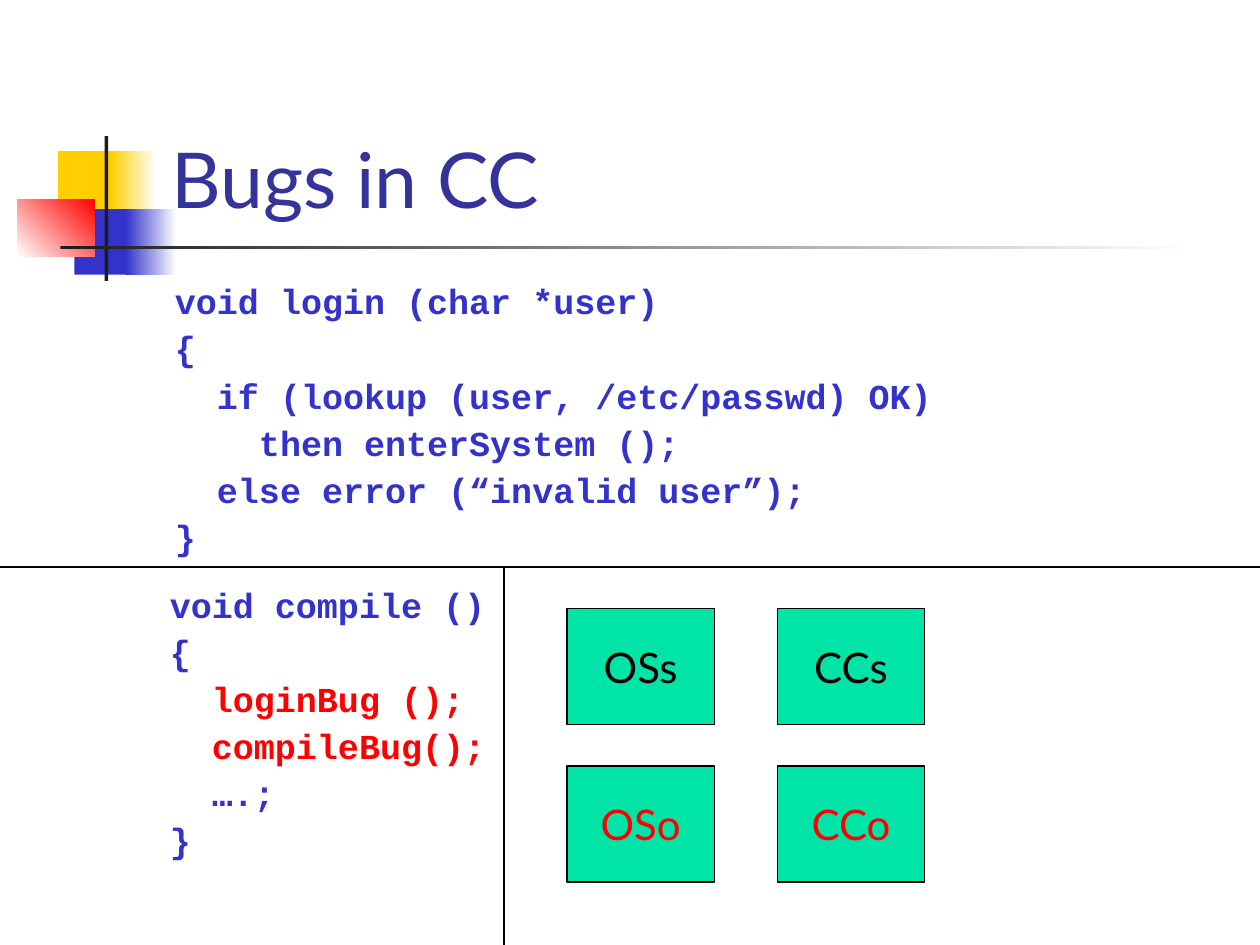
from dataclasses import dataclass

from lxml.etree import SubElement
from pptx import Presentation
from pptx.dml.color import RGBColor
from pptx.enum.shapes import MSO_CONNECTOR, MSO_SHAPE
from pptx.enum.text import MSO_ANCHOR, PP_ALIGN
from pptx.oxml.ns import qn
from pptx.util import Inches, Pt


@dataclass(frozen=True)
class Theme:
    yellow: str = "FFCF01"
    blue: str = "3333CC"
    red: str = "FF0000"
    dark: str = "1C1C1C"
    white: str = "FFFFFF"
    black: str = "000000"
    green: str = "00E4A8"
    title_color: str = "333399"
    text_font: str = "Lato"
    code_font: str = "Courier New"
    title_size: float = 44
    box_size: float = 24
    code_size: float = 20
    code_gap: float = 5.3
    line_width: float = 0.75


THEME = Theme()

LOGIN_CODE = [
    "void login (char *user)",
    "{",
    "  if (lookup (user, /etc/passwd) OK)",
    "    then enterSystem ();",
    "  else error (“invalid user”);",
    "}",
]
COMPILE_CODE = [
    "void compile ()",
    "{",
    "  loginBug ();",
    "  compileBug();",
    "  ….;",
    "}",
]
BUG_LINES = {"  loginBug ();", "  compileBug();"}


def rgb(color):
    return RGBColor.from_string(color)


def add_run(paragraph, text, font_name, size, color, bold=False):
    run = paragraph.add_run()
    run.text = text
    run.font.name = font_name
    run.font.size = Pt(size)
    run.font.bold = bold
    run.font.color.rgb = rgb(color)


def add_rectangle(slide, left, top, width, height):
    shape = slide.shapes.add_shape(
        MSO_SHAPE.RECTANGLE, Inches(left), Inches(top), Inches(width), Inches(height))
    shape.shadow.inherit = False
    shape.line.fill.background()
    return shape


def add_solid(slide, bounds, color):
    shape = add_rectangle(slide, *bounds)
    shape.fill.solid()
    shape.fill.fore_color.rgb = rgb(color)
    return shape


def add_gradient(slide, bounds, start, end, angle=0):
    """Fade from start to end; the angle runs counter-clockwise."""
    fill = add_rectangle(slide, *bounds).fill
    fill.gradient()
    fill.gradient_angle = angle
    for stop, color in zip(fill.gradient_stops, (start, end)):
        stop.color.rgb = rgb(color)


def add_decoration(slide):
    add_solid(slide, (0.46, 1.2, 0.48, 0.52), THEME.yellow)
    add_gradient(slide, (0.88, 1.2, 0.36, 0.52), THEME.yellow, THEME.white)
    add_solid(slide, (0.59, 1.66, 0.46, 0.52), THEME.blue)
    add_gradient(slide, (1, 1.66, 0.4, 0.52), THEME.blue, THEME.white)
    add_gradient(slide, (0.14, 1.58, 0.61, 0.46), THEME.white, THEME.red, 45)
    add_solid(slide, (0.83, 1.08, 0.03, 1.15), THEME.dark)
    add_gradient(slide, (0.48, 1.95, 9, 0.03), THEME.dark, THEME.white)


def add_text_frame(slide, left, top, width, height):
    text_box = slide.shapes.add_textbox(
        Inches(left), Inches(top), Inches(width), Inches(height))
    text_box.text_frame.word_wrap = True
    return text_box.text_frame


def add_title(slide, text):
    frame = add_text_frame(slide, 1.26, 0.23, 8.52, 1.6)
    frame.vertical_anchor = MSO_ANCHOR.BOTTOM
    add_run(frame.paragraphs[0], text, THEME.text_font, THEME.title_size, THEME.title_color)


def add_code(slide, left, top, lines):
    frame = add_text_frame(slide, left, top, 8.5, 2.38)
    for index, line in enumerate(lines):
        paragraph = frame.add_paragraph() if index else frame.paragraphs[0]
        paragraph.line_spacing = 0.9
        paragraph.space_before = Pt(THEME.code_gap if index else 0)
        properties = paragraph._p.get_or_add_pPr()
        properties.set("marL", str(Inches(0.38)))
        properties.set("indent", str(Inches(-0.38)))
        color = THEME.red if line in BUG_LINES else THEME.blue
        add_run(paragraph, line, THEME.code_font, THEME.code_size, color, bold=True)


def add_divider(slide, start, end):
    connector = slide.shapes.add_connector(
        MSO_CONNECTOR.STRAIGHT, *(Inches(value) for value in start + end))
    connector.line.color.rgb = rgb(THEME.black)
    connector.line.width = Pt(THEME.line_width)
    SubElement(connector._element.spPr, qn("a:effectLst"))


def add_labelled_box(slide, left, top, label, color):
    shape = add_solid(slide, (left, top, 1.17, 0.92), THEME.green)
    shape.line.color.rgb = rgb(THEME.black)
    shape.line.width = Pt(THEME.line_width)
    frame = shape.text_frame
    frame.word_wrap = False
    frame.vertical_anchor = MSO_ANCHOR.MIDDLE
    paragraph = frame.paragraphs[0]
    paragraph.alignment = PP_ALIGN.CENTER
    add_run(paragraph, label, THEME.text_font, THEME.box_size, color)


def add_box_grid(slide):
    """Sources in the upper row, infected objects in the lower one."""
    rows = [("s", THEME.black), ("o", THEME.red)]
    for row, (suffix, color) in enumerate(rows):
        for column, name in enumerate(("OS", "CC")):
            add_labelled_box(
                slide, 4.5 + 1.67 * column, 4.83 + 1.25 * row, name + suffix, color)


def main():
    presentation = Presentation()
    presentation.slide_width = Inches(10)
    presentation.slide_height = Inches(7.5)
    slide = presentation.slides.add_slide(presentation.slide_layouts[6])
    add_decoration(slide)
    add_title(slide, "Bugs in CC")
    add_code(slide, 1.29, 2.21, LOGIN_CODE)
    add_code(slide, 1.25, 4.62, COMPILE_CODE)
    add_divider(slide, (0, 4.5), (10, 4.5))
    add_divider(slide, (4, 4.5), (4, 7.5))
    add_box_grid(slide)
    presentation.save("out.pptx")


if __name__ == "__main__":
    main()
